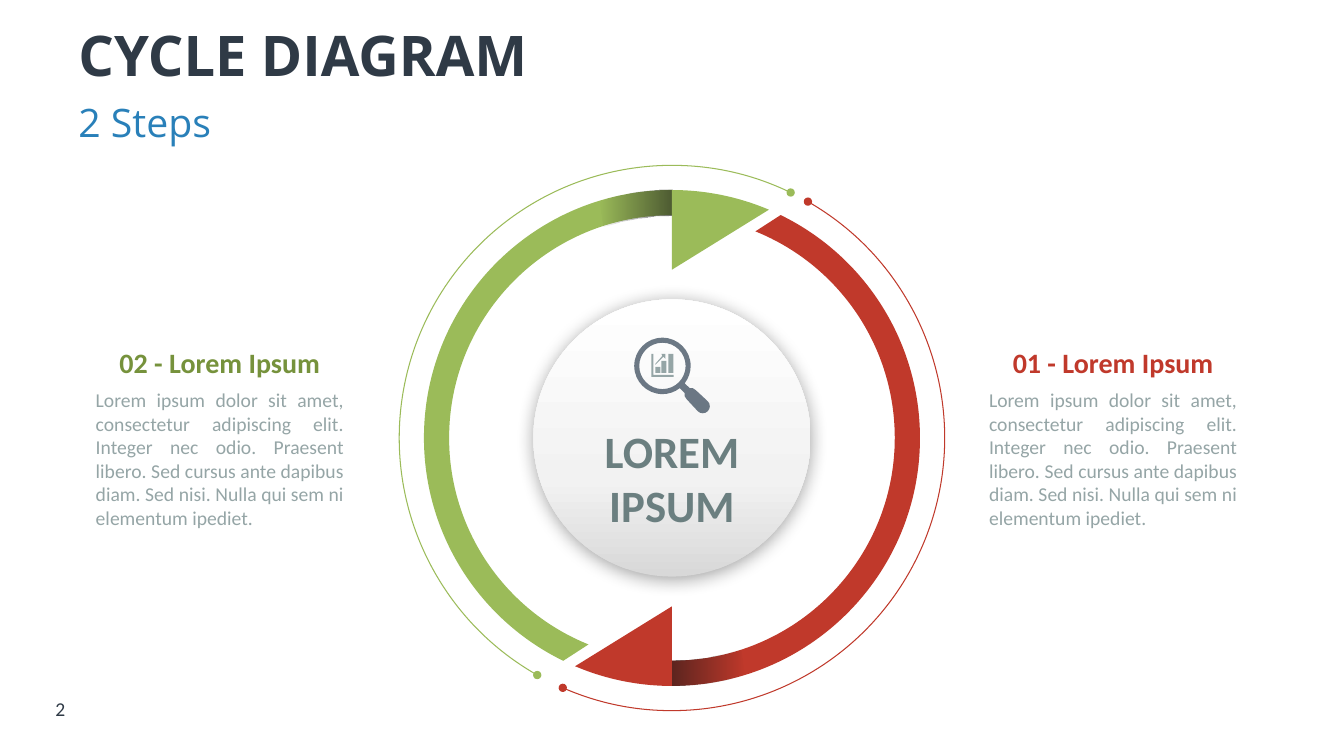
from math import cos, radians, sin, tan

from lxml import etree
from pptx import Presentation
from pptx.dml.color import RGBColor
from pptx.enum.shapes import MSO_SHAPE
from pptx.enum.text import MSO_ANCHOR, PP_ALIGN
from pptx.oxml.ns import qn
from pptx.util import Pt

ARC, OVAL, RECT = MSO_SHAPE.ARC, MSO_SHAPE.OVAL, MSO_SHAPE.RECTANGLE
TOP, MIDDLE, BOTTOM = MSO_ANCHOR.TOP, MSO_ANCHOR.MIDDLE, MSO_ANCHOR.BOTTOM
LEFT, CENTER, JUSTIFY = PP_ALIGN.LEFT, PP_ALIGN.CENTER, PP_ALIGN.JUSTIFY

PX = 9144
COLORS = {
    "ink": "2F3A46", "blue": "2980B9", "green": "9BBB59", "olive": "76923C",
    "red": "C0392B", "slate": "6B7F80", "gray": "95A5A6", "lens": "2C3E50",
    "shade": "181818", "black": "000000",
    "hub_low": "D8D8D8", "hub_mid": "F2F2F2", "hub_high": "FFFFFF",
}
CYCLE_LEFT, CYCLE_TOP, CYCLE_SIZE = 396, 164, 541
CENTRE = (CYCLE_LEFT + CYCLE_SIZE / 2, CYCLE_TOP + CYCLE_SIZE / 2)
OUTER, INNER, HEAD_TIP = 246, 221, 167
LOREM = ("Lorem ipsum dolor sit amet, consectetur adipiscing elit. Integer nec odio. "
         "Praesent libero. Sed cursus ante dapibus diam. Sed nisi. "
         "Nulla qui sem ni elementum ipediet.")


def rgb(name):
    """Return the named colour."""
    return RGBColor.from_string(COLORS[name])


def polar(centre, radius, angle):
    """Return the point at an angle in degrees on a circle."""
    a = radians(angle)
    return centre[0] + radius * cos(a), centre[1] + radius * sin(a)


def curve(centre, radius, start, end):
    """Return a start point and Bézier nodes, split at quarter turns."""
    low, high = sorted((start, end))
    stops = [low] + [q for q in range(-360, 720, 90) if low < q < high] + [high]
    if end < start:
        stops.reverse()
    nodes = [polar(centre, radius, start)]
    for a, b in zip(stops, stops[1:]):
        pull = radius * 4 / 3 * tan(radians(b - a) / 4)
        (ax, ay), (bx, by) = polar(centre, radius, a), polar(centre, radius, b)
        nodes.append((ax - pull * sin(radians(a)), ay + pull * cos(radians(a)),
                      bx + pull * sin(radians(b)), by - pull * cos(radians(b)), bx, by))
    return nodes


def add_color(parent, name, alpha=100):
    """Append an RGB colour with its opacity in percent."""
    color = etree.SubElement(parent, qn("a:srgbClr"), val=COLORS[name])
    if alpha < 100:
        etree.SubElement(color, qn("a:alpha"), val=str(alpha * 1000))


def write(frame, text, size=14, color="ink", font="Calibri", bold=False,
          align=LEFT, anchor=TOP, inset=10):
    """Fill a text frame with one formatted paragraph."""
    frame.word_wrap = True
    frame.vertical_anchor = anchor
    frame.margin_left, frame.margin_right = inset * PX, 10 * PX
    frame.margin_top = frame.margin_bottom = 5 * PX
    paragraph = frame.paragraphs[0]
    paragraph.alignment = align
    run = paragraph.add_run()
    run.text = text
    run.font.name, run.font.size, run.font.bold = font, Pt(size), bold
    run.font.color.rgb = rgb(color)


class Canvas:
    """Draws styled elements on the current slide."""

    def __init__(self, slide):
        """Keep the shapes of the slide."""
        self.shapes = slide.shapes

    def paint(self, shape, color, alpha=100):
        """Give a shape a plain fill without line or shadow."""
        shape.shadow.inherit = False
        shape.line.fill.background()
        shape.fill.solid()
        shape.fill.fore_color.rgb = rgb(color)
        if alpha < 100:
            solid = shape.element.spPr.find(qn("a:solidFill"))
            etree.SubElement(solid[0], qn("a:alpha"), val=str(alpha * 1000))
        return shape

    def gradient(self, shape, stops, angle):
        """Replace the plain fill by a linear gradient."""
        grad = etree.Element(qn("a:gradFill"), rotWithShape="1")
        stop_list = etree.SubElement(grad, qn("a:gsLst"))
        for position, color, alpha in stops:
            stop = etree.SubElement(stop_list, qn("a:gs"), pos=str(position * 1000))
            add_color(stop, color, alpha)
        etree.SubElement(grad, qn("a:lin"), ang=str(angle * 60000), scaled="0")
        properties = shape.element.spPr
        properties.replace(properties.find(qn("a:solidFill")), grad)

    def drop_shadow(self, shape, blur, distance, alpha):
        """Add a soft shadow below a shape."""
        effects = shape.element.spPr.find(qn("a:effectLst"))
        shadow = etree.SubElement(effects, qn("a:outerShdw"), blurRad=str(Pt(blur)),
                                  dist=str(Pt(distance)), dir="5400000",
                                  algn="ctr", rotWithShape="0")
        add_color(shadow, "black", alpha)

    def preset(self, kind, left, top, width, height, color):
        """Draw a filled preset shape."""
        box = [value * PX for value in (left, top, width, height)]
        return self.paint(self.shapes.add_shape(kind, *box), color)

    def outline(self, contours, color, alpha=100):
        """Draw a filled shape from closed contours of points and Bézier nodes."""
        scaled = [[[v * PX for v in node] for node in contour] for contour in contours]
        builder = self.shapes.build_freeform(*scaled[0][0], scale=1.0)
        for number, contour in enumerate(scaled):
            if number:
                builder.move_to(*contour[0])
            builder.add_line_segments([node[-2:] for node in contour[1:]], close=True)
        shape = builder.convert_to_shape()
        nodes = [node for contour in scaled for node in contour[1:]]
        for segment, node in zip(list(shape.element.iter(qn("a:lnTo"))), nodes):
            if len(node) == 6:
                bezier = etree.Element(qn("a:cubicBezTo"))
                for x, y in zip(node[::2], node[1::2]):
                    etree.SubElement(bezier, qn("a:pt"), x=str(round(x - shape.left)),
                                     y=str(round(y - shape.top)))
                segment.getparent().replace(segment, bezier)
        return self.paint(shape, color, alpha)

    def orbit(self, start, end, color):
        """Draw a thin arc with a dot at each end."""
        arc = self.preset(ARC, CYCLE_LEFT, CYCLE_TOP, CYCLE_SIZE, CYCLE_SIZE, color)
        arc.fill.background()
        arc.adjustments[0], arc.adjustments[1] = start * 0.6, end * 0.6
        arc.line.color.rgb, arc.line.width = rgb(color), Pt(0.75)
        line = arc.element.spPr.find(qn("a:ln"))
        for tip in ("a:headEnd", "a:tailEnd"):
            etree.SubElement(line, qn(tip), type="oval")

    def sector(self, turn, outer_start, inner_start, color):
        """Draw a ring piece that ends at the arrowhead."""
        return self.outline([curve(CENTRE, OUTER, outer_start + turn, 90 + turn)
                             + curve(CENTRE, INNER, 90 + turn, inner_start + turn)], color)

    def cycle_arrow(self, turn, color):
        """Draw a half-cycle arrow with a shaded fold."""
        self.sector(turn, -64, -68, color)
        fold = self.sector(turn, 73, 72, "shade")
        self.gradient(fold, [(0, "shade", 60), (100, "shade", 0)], turn)
        tip = polar(CENTRE, HEAD_TIP, 90 + turn)
        self.outline([[tip] + curve(CENTRE, OUTER, 90 + turn, 113 + turn)], color)

    def text(self, left, top, width, height, content, **style):
        """Add a text box."""
        box = [value * PX for value in (left, top, width, height)]
        write(self.shapes.add_textbox(*box).text_frame, content, **style)

    def step(self, left, heading, color):
        """Add a step heading with its description."""
        self.text(left, 337, 256, 44, heading, size=20, color=color, bold=True,
                  align=CENTER, anchor=BOTTOM, inset=0)
        self.text(left, 380, 256, 151, LOREM, color="gray", align=JUSTIFY, inset=0)

    def hub(self):
        """Draw the central disc with its label."""
        disc = self.preset(OVAL, 529, 297, 275, 275, "hub_mid")
        self.gradient(disc, [(0, "hub_low", 100), (35, "hub_mid", 100),
                             (100, "hub_high", 100)], 270)
        self.drop_shadow(disc, 13, 2, 36)
        write(disc.text_frame, "LOREM IPSUM", size=32, color="slate", bold=True,
              align=CENTER, anchor=BOTTOM)

    def magnifier(self):
        """Draw a magnifier over a small bar chart."""
        lens = (657, 363)
        handle = ([(684, 385), (687, 385), (690, 387)] + curve((697, 403), 7, -45, 135)
                  + [(681, 396), (679, 393), (679, 390)])
        self.outline([curve(lens, 28, 52, 398) + handle, curve(lens, 23, 360, 0)],
                     "lens", 69)
        self.outline([[(648, 351), (646, 351), (646, 374), (668, 374),
                       (668, 372), (648, 372)]], "gray")
        for left, top in ((650, 364), (656, 358), (663, 351)):
            self.preset(RECT, left, top, 5, 370 - top, "gray")
        self.outline([[(660, 356), (660, 351), (656, 351), (657, 353),
                       (650, 361), (650, 362), (658, 354)]], "gray")


def main():
    """Build the cycle diagram slide."""
    deck = Presentation()
    deck.slide_width, deck.slide_height = 1333 * PX, 750 * PX
    canvas = Canvas(deck.slides.add_slide(deck.slide_layouts[6]))
    canvas.text(68, 15, 1072, 77, "CYCLE DIAGRAM", size=40, font="Open Sans",
                bold=True, anchor=MIDDLE)
    canvas.text(68, 93, 1072, 57, "2 Steps", size=28, color="blue", font="Open Sans")
    canvas.text(36, 682, 48, 43, "2", align=CENTER, anchor=MIDDLE)
    canvas.orbit(299.9, 113.6, "red")
    canvas.orbit(119.6, 295.8, "green")
    canvas.hub()
    canvas.step(95, "02 - Lorem Ipsum", "olive")
    canvas.step(981, "01 - Lorem Ipsum", "red")
    canvas.magnifier()
    canvas.cycle_arrow(180, "green")
    canvas.cycle_arrow(0, "red")
    deck.save("out.pptx")


if __name__ == "__main__":
    main()
